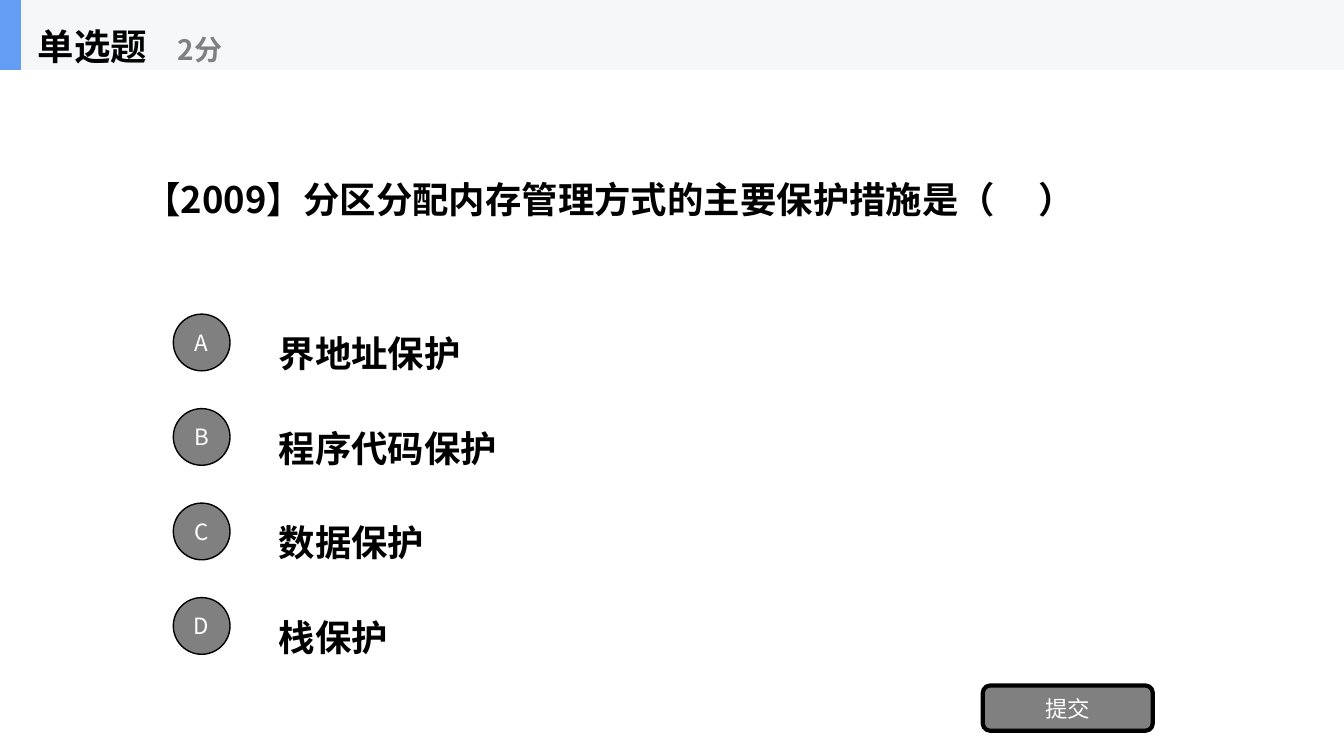
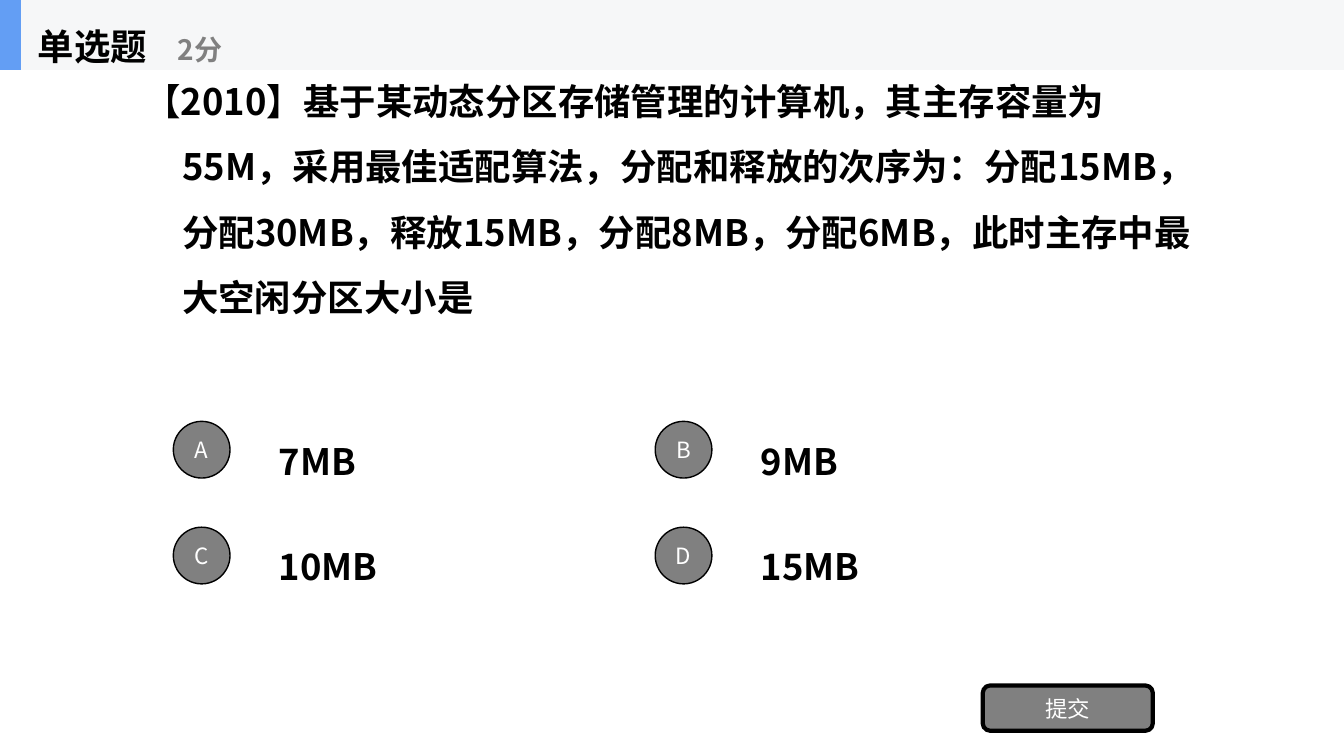
from lxml.etree import SubElement
from pptx import Presentation
from pptx.dml.color import RGBColor
from pptx.enum.shapes import MSO_SHAPE as SHAPE
from pptx.enum.text import MSO_ANCHOR, PP_ALIGN
from pptx.oxml.ns import qn
from pptx.util import Pt

BLACK = RGBColor(0x00, 0x00, 0x00)
WHITE = RGBColor(0xFF, 0xFF, 0xFF)
GRAY = RGBColor(0x80, 0x80, 0x80)
BAND = RGBColor(0xF6, 0xF7, 0xF8)
ACCENT = RGBColor(0x63, 0x9E, 0xF4)
FONT = "Noto Sans CJK SC"
HANGING = Pt(27)
LABEL_LEFT, BADGE_LEFT = 192, 123.8
LABEL_HEIGHT, BADGE_SIZE = 50.4, 40.5
BAND_HEIGHT = 50


def write(shape, text, size, color, bold=True, blank_end=None):
    """Bold text hangs at the left; plain text is a centred caption."""
    frame = shape.text_frame
    frame.word_wrap = True
    frame.vertical_anchor = MSO_ANCHOR.MIDDLE
    paragraph = frame.paragraphs[0]
    paragraph.text = text
    props = paragraph._p.get_or_add_pPr()
    if bold:
        paragraph.alignment = PP_ALIGN.LEFT
        paragraph.line_spacing = 1.5
        props.set("marL", str(HANGING))
        props.set("indent", str(-HANGING))
    else:
        paragraph.alignment = PP_ALIGN.CENTER
    if blank_end:
        tabs = SubElement(props, qn("a:tabLst"))
        SubElement(tabs, qn("a:tab"), pos=str(Pt(blank_end)), algn="l")
    font = paragraph.font
    font.name, font.size, font.bold = FONT, Pt(size), bold
    font.color.rgb = color
    SubElement(props.find(qn("a:defRPr")), qn("a:ea"), typeface=FONT)


def add_block(shapes, kind, left, top, width, height, fill, line=None):
    block = shapes.add_shape(kind, Pt(left), Pt(top), Pt(width), Pt(height))
    block.shadow.inherit = False
    block.fill.solid()
    block.fill.fore_color.rgb = fill
    if line:
        block.line.color.rgb = BLACK
        block.line.width = Pt(line)
    else:
        block.line.fill.background()
    return block


# Question, position in points where the answer blank ends, options, and option grid
QUESTIONS = [
    dict(text="【2009】分区分配内存管理方式的主要保护措施是（\t）", blank_end=655,
         options=["界地址保护", "程序代码保护", "数据保护", "栈保护"],
         columns=1, top=219.4, row_gap=67.5, label_width=672),
    dict(text="【2010】基于某动态分区存储管理的计算机，其主存容量为55M，"
              "采用最佳适配算法，分配和释放的次序为：分配15MB，分配30MB，"
              "释放15MB，分配8MB，分配6MB，此时主存中最大空闲分区大小是",
         blank_end=None, options=["7MB", "9MB", "10MB", "15MB"],
         columns=2, top=296, row_gap=75.6, label_width=300),
]
COLUMN_GAP = 344.2

deck = Presentation()
deck.slide_width, deck.slide_height = Pt(960), Pt(540)

for question in QUESTIONS:
    slide = deck.slides.add_slide(deck.slide_layouts[6])
    shapes = slide.shapes

    # Question
    stem = shapes.add_textbox(Pt(96), Pt(BAND_HEIGHT), Pt(768), Pt(168.5))
    write(stem, question["text"], 26, BLACK, blank_end=question["blank_end"])

    # Options with lettered badges
    for index, (letter, option) in enumerate(zip("ABCD", question["options"])):
        row, column = divmod(index, question["columns"])
        top = question["top"] + row * question["row_gap"]
        shift = column * COLUMN_GAP
        label = shapes.add_textbox(Pt(LABEL_LEFT + shift), Pt(top),
                                   Pt(question["label_width"]), Pt(LABEL_HEIGHT))
        write(label, option, 26, BLACK)
        badge = add_block(shapes, SHAPE.OVAL, BADGE_LEFT + shift,
                          top + (LABEL_HEIGHT - BADGE_SIZE) / 2,
                          BADGE_SIZE, BADGE_SIZE, GRAY, line=1)
        write(badge, letter, 16, WHITE, bold=False)

    # Submit button
    submit = add_block(shapes, SHAPE.ROUNDED_RECTANGLE, 702, 489.6, 121.5, 32.4,
                       GRAY, line=3)
    write(submit, "提交", 16, WHITE, bold=False)

    # Header band
    header = shapes.add_group_shape().shapes
    add_block(header, SHAPE.RECTANGLE, 0, 0, 960, BAND_HEIGHT, BAND)
    add_block(header, SHAPE.RECTANGLE, 0, 0, 15, BAND_HEIGHT, ACCENT)
    question_type = header.add_textbox(Pt(20), Pt(0), Pt(150), Pt(BAND_HEIGHT))
    write(question_type, "单选题", 26, BLACK)
    score = header.add_textbox(Pt(120), Pt(9), Pt(180), Pt(40))
    write(score, "2分", 20, GRAY)

deck.save("out.pptx")
